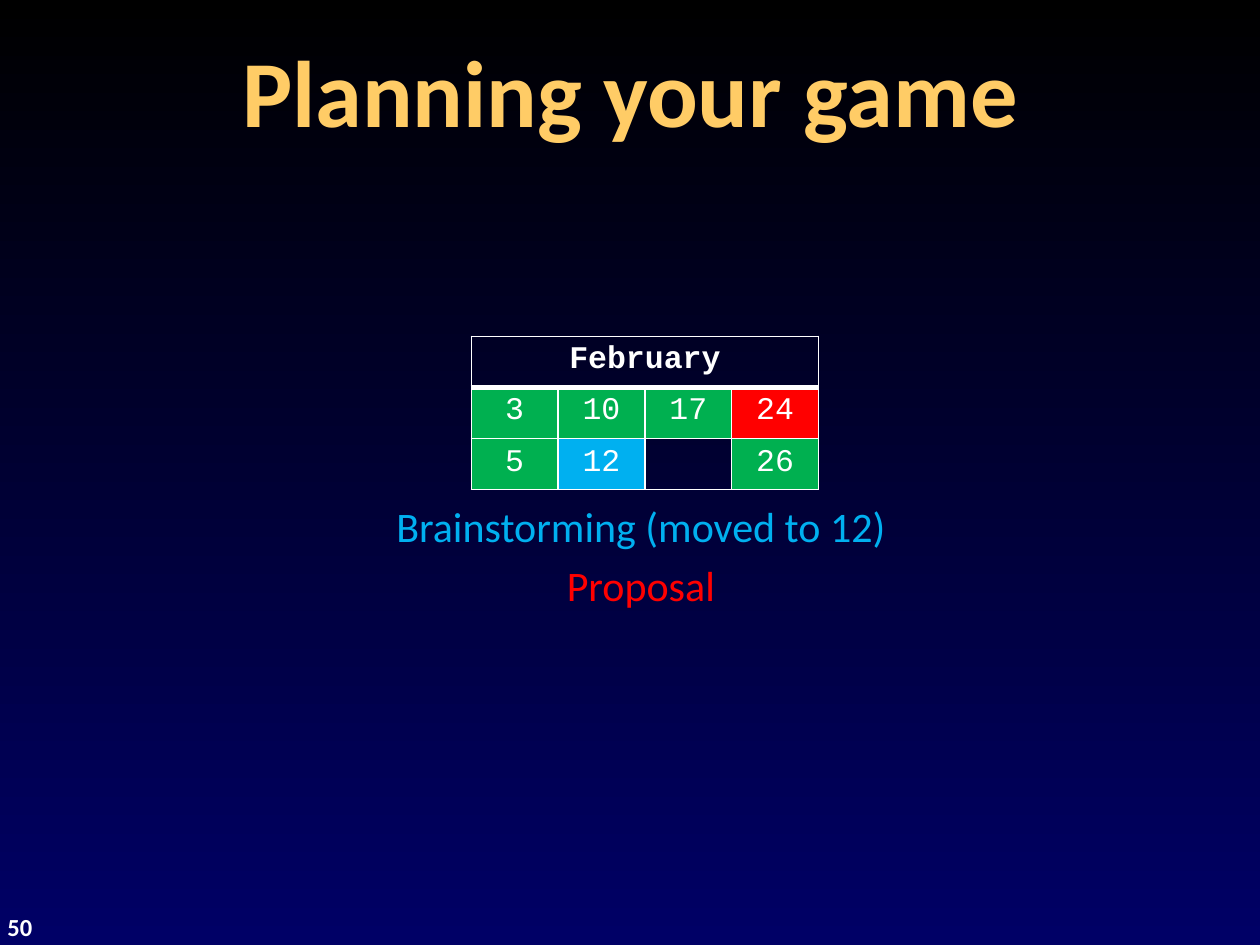
"""Build a slide with a February calendar for planning a game."""
import pptx
import pptx.dml.color
import pptx.enum.text
import pptx.oxml
import pptx.oxml.ns
import pptx.util

Cm = pptx.util.Cm
Pt = pptx.util.Pt
RGB = pptx.dml.color.RGBColor
ALIGN = pptx.enum.text.PP_ALIGN
ANCHOR = pptx.enum.text.MSO_ANCHOR

BLACK = RGB(0x00, 0x00, 0x00)
NAVY = RGB(0x00, 0x00, 0x66)
GOLD = RGB(0xFF, 0xCC, 0x66)
WHITE = RGB(0xFF, 0xFF, 0xFF)
GREEN = RGB(0x00, 0xB0, 0x50)
RED = RGB(0xFF, 0x00, 0x00)
BLUE = RGB(0x00, 0xB0, 0xF0)


def style(p, font, size, color, bold=False, align=ALIGN.CENTER):
    p.alignment = align
    for f in [p.font] + [r.font for r in p.runs]:
        f.name, f.size, f.bold = font, Pt(size), bold
        f.color.rgb = color


def set_border(cell, sides):
    tcPr = cell._tc.get_or_add_tcPr()
    for i, (side, width) in enumerate(sides.items()):
        ln = pptx.oxml.parse_xml(
            f'<a:ln{side} {pptx.oxml.ns.nsdecls("a")} w="{Pt(width)}">'
            f'<a:solidFill><a:srgbClr val="{WHITE}"/></a:solidFill></a:ln{side}>')
        tcPr.insert(i, ln)


prs = pptx.Presentation()
prs.slide_width, prs.slide_height = Cm(25.4), Cm(19.05)
s = prs.slides.add_slide(prs.slide_layouts[5])

fill = s.background.fill
fill.gradient()
fill.gradient_angle = 270
for stop, color in zip(fill.gradient_stops, (BLACK, NAVY)):
    stop.color.rgb = color

sp = s.shapes.title
sp.left, sp.top, sp.width, sp.height = Cm(0.43), Cm(0.43), Cm(24.55), Cm(2.75)
tf = sp.text_frame
tf.text = "Planning your game"
tf.vertical_anchor = ANCHOR.MIDDLE
style(tf.paragraphs[0], "Calibri", 54, GOLD, bold=True)

rows = [
    [("February", None), ("", None), ("", None), ("", None)],
    [("3", GREEN), ("10", GREEN), ("17", GREEN), ("24", RED)],
    [("5", GREEN), ("12", BLUE), ("", None), ("26", GREEN)],
]
tbl = s.shapes.add_table(3, 4, Cm(9.5), Cm(6.78), Cm(7), Cm(3.09)).table
tbl.first_row = tbl.horz_banding = False
for col in tbl.columns:
    col.width = Cm(1.75)
for i, row in enumerate(rows):
    tbl.rows[i].height = Cm(1.03)
    for j, (text, color) in enumerate(row):
        cell = tbl.cell(i, j)
        cell.text = text
        style(cell.text_frame.paragraphs[0], "Courier New", 18, WHITE, bold=i == 0)
        if color:
            cell.fill.solid()
            cell.fill.fore_color.rgb = color
        else:
            cell.fill.background()
        set_border(cell, {"L": 1, "R": 1, "T": 3 if i == 1 else 1, "B": 3 if i == 0 else 1})
tbl.cell(0, 0).merge(tbl.cell(0, 3))

sp = s.shapes.add_textbox(Cm(-0.1), Cm(18.26), Cm(1.68), Cm(0.84))
tf = sp.text_frame
tf.word_wrap = True
tf.text = "50"
style(tf.paragraphs[0], "Calibri", 14, WHITE, bold=True, align=ALIGN.LEFT)

sp = s.shapes.add_textbox(Cm(7.42), Cm(9.96), Cm(11), Cm(2.74))
tf = sp.text_frame
tf.word_wrap = True
tf.text = "Brainstorming (moved to 12)\nProposal"
for p, color in zip(tf.paragraphs, (BLUE, RED)):
    style(p, "Calibri", 24, color)
tf.paragraphs[1].space_before = Pt(4.8)

prs.save("out.pptx")
